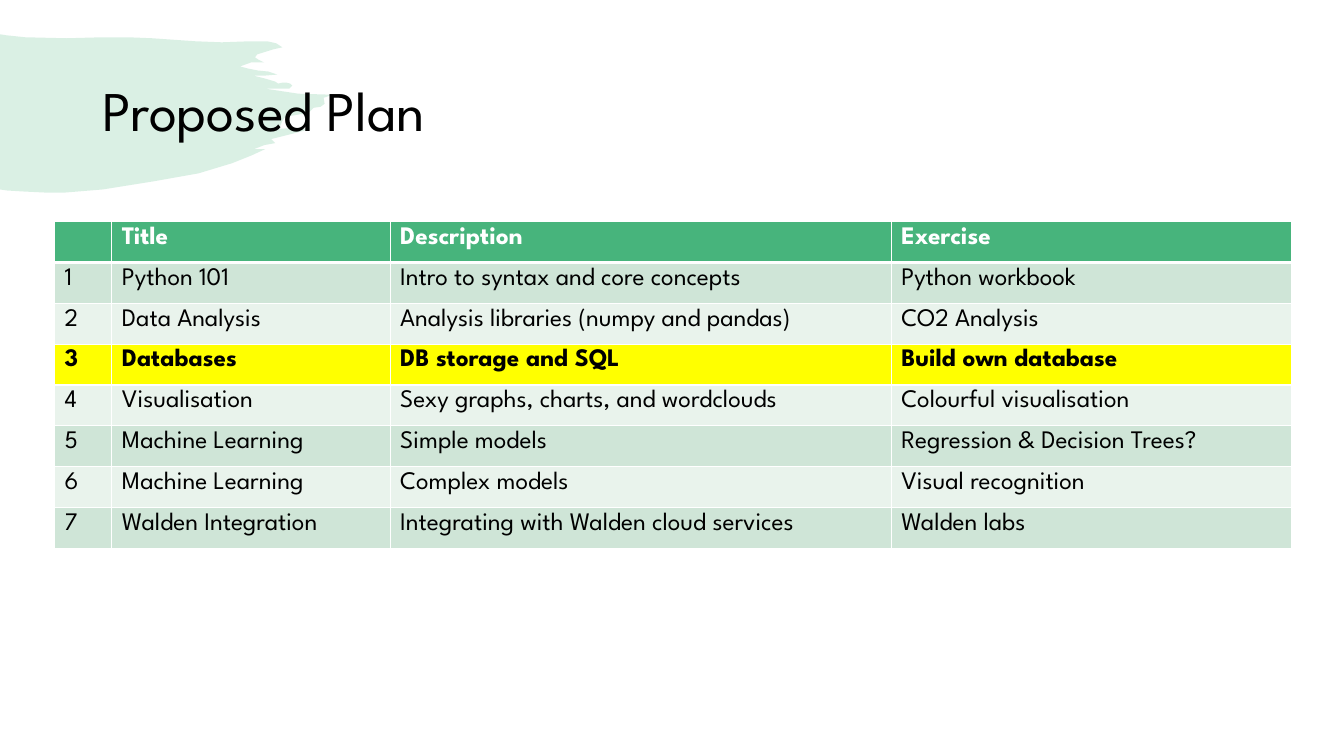
import lxml.etree
import pptx
import pptx.dml.color
import pptx.enum.text
import pptx.oxml.ns
import pptx.util

Inches = pptx.util.Inches
Pt = pptx.util.Pt
RGBColor = pptx.dml.color.RGBColor

GREEN = RGBColor(0x47, 0xB4, 0x7C)
BAND_DARK = RGBColor(0xCF, 0xE5, 0xD7)
BAND_LIGHT = RGBColor(0xE9, 0xF3, 0xEC)
YELLOW = RGBColor(0xFF, 0xFF, 0x00)
WHITE = RGBColor(0xFF, 0xFF, 0xFF)
BLACK = RGBColor(0x00, 0x00, 0x00)
FONT = "League Spartan"

BRUSH_OUTLINE = [
    (0, 0.34), (0.06, 0.35), (0.25, 0.37), (0.66, 0.38), (1.02, 0.37),
    (1.27, 0.37), (1.51, 0.38), (1.94, 0.41), (2.2, 0.42), (2.48, 0.41),
    (2.65, 0.41), (2.74, 0.43), (2.8, 0.47), (2.71, 0.49), (2.55, 0.54),
    (2.53, 0.57), (2.56, 0.59), (2.62, 0.62), (2.49, 0.62), (2.38, 0.66),
    (2.46, 0.68), (2.56, 0.7), (2.66, 0.71), (2.75, 0.74), (2.63, 0.75),
    (2.51, 0.75), (2.63, 0.78), (2.73, 0.81), (2.76, 0.83), (2.8, 0.82),
    (2.84, 0.82), (2.88, 0.83), (2.9, 0.85), (2.87, 0.88), (2.84, 0.88),
    (2.74, 0.88), (2.63, 0.88), (2.96, 0.93), (3.3, 0.94), (3.21, 0.97),
    (3.22, 1.03), (3.18, 1.06), (3.11, 1.07), (3.07, 1.11), (3, 1.13),
    (2.83, 1.16), (2.8, 1.2), (2.78, 1.25), (2.74, 1.28), (2.91, 1.27),
    (3.08, 1.28), (2.89, 1.33), (2.69, 1.38), (2.73, 1.42), (2.62, 1.44),
    (2.52, 1.48), (2.57, 1.48), (2.63, 1.48), (2.5, 1.54), (2.3, 1.62),
    (1.97, 1.72), (1.52, 1.8), (1.02, 1.88), (0.65, 1.91), (0.44, 1.91),
    (0.23, 1.9), (0.07, 1.89), (0, 1.88),
]

COLUMN_WIDTHS = [0.57, 2.76, 4.97, 3.97]
HIGHLIGHTED_ROW = 3
PLAN = [
    ("", "Title", "Description", "Exercise"),
    ("1", "Python 101", "Intro to syntax and core concepts", "Python workbook"),
    ("2", "Data Analysis", "Analysis libraries (numpy and pandas)", "CO2 Analysis"),
    ("3", "Databases", "DB storage and SQL", "Build own database"),
    ("4", "Visualisation", "Sexy graphs, charts, and wordclouds", "Colourful visualisation"),
    ("5", "Machine Learning", "Simple models", "Regression & Decision Trees?"),
    ("6", "Machine Learning", "Complex models", "Visual recognition"),
    ("7", "Walden Integration", "Integrating with Walden cloud services", "Walden labs"),
]


def add_child(parent, tag, **attributes):
    """Append a DrawingML element to the parent and return it."""
    return lxml.etree.SubElement(parent, pptx.oxml.ns.qn(tag), attributes)


def format_font(font, size, color, bold=False):
    """Apply the slide's typeface with a size, colour and weight."""
    for name, value in {"name": FONT, "size": Pt(size), "bold": bold}.items():
        setattr(font, name, value)
    font.color.rgb = color


def add_brush_stroke(slide):
    """Draw the translucent brush stroke behind the title."""
    points = [(Inches(x), Inches(y)) for x, y in BRUSH_OUTLINE]
    builder = slide.shapes.build_freeform(*points[0])
    builder.add_line_segments(points[1:], close=True)
    shape = builder.convert_to_shape()
    shape.shadow.inherit = False
    shape.line.fill.background()
    shape.fill.solid()
    shape.fill.fore_color.rgb = GREEN
    color = shape.element.spPr.find(".//" + pptx.oxml.ns.qn("a:srgbClr"))
    add_child(color, "a:alpha", val="20000")


def add_title(slide, text):
    """Add the slide title, centred vertically in its box."""
    box = slide.shapes.add_textbox(Inches(0.92), Inches(0.4), Inches(11.5), Inches(1.45))
    frame = box.text_frame
    frame.word_wrap = True
    frame.vertical_anchor = pptx.enum.text.MSO_ANCHOR.MIDDLE
    paragraph = frame.paragraphs[0]
    paragraph.line_spacing = 0.9
    run = paragraph.add_run()
    run.text = text
    format_font(run.font, 40, BLACK)


def set_borders(cell, widths):
    """Give the cell white borders with a width in points per side."""
    properties = cell._tc.get_or_add_tcPr()
    for index, (side, width) in enumerate(widths.items()):
        line = add_child(properties, "a:ln" + side, w=str(Pt(width)))
        add_child(add_child(line, "a:solidFill"), "a:srgbClr", val=str(WHITE))
        properties.insert(index, line)


def row_fill(row):
    """Return the fill colour of a table row."""
    special = {0: GREEN, HIGHLIGHTED_ROW: YELLOW}
    return special.get(row, BAND_DARK if row % 2 else BAND_LIGHT)


def add_plan_table(slide):
    """Add the table of sessions with its highlighted row."""
    table = slide.shapes.add_table(
        len(PLAN), len(COLUMN_WIDTHS),
        Inches(0.54), Inches(2.2), Inches(sum(COLUMN_WIDTHS)), Inches(3.24),
    ).table
    for column, width in zip(table.columns, COLUMN_WIDTHS):
        column.width = Inches(width)
    for row, texts in enumerate(PLAN):
        borders = {"L": 1, "R": 1, "T": 3 if row == 1 else 1, "B": 3 if row == 0 else 1}
        for column, text in enumerate(texts):
            cell = table.cell(row, column)
            cell.fill.solid()
            cell.fill.fore_color.rgb = row_fill(row)
            set_borders(cell, borders)
            if text:
                run = cell.text_frame.paragraphs[0].add_run()
                run.text = text
                format_font(run.font, 18, BLACK if row else WHITE, row in (0, HIGHLIGHTED_ROW))


def main():
    """Build the plan slide and save it."""
    presentation = pptx.Presentation()
    presentation.slide_width = Inches(13.33)
    presentation.slide_height = Inches(7.5)
    slide = presentation.slides.add_slide(presentation.slide_layouts[6])
    add_brush_stroke(slide)
    add_title(slide, "Proposed Plan")
    add_plan_table(slide)
    presentation.save("out.pptx")


if __name__ == "__main__":
    main()
